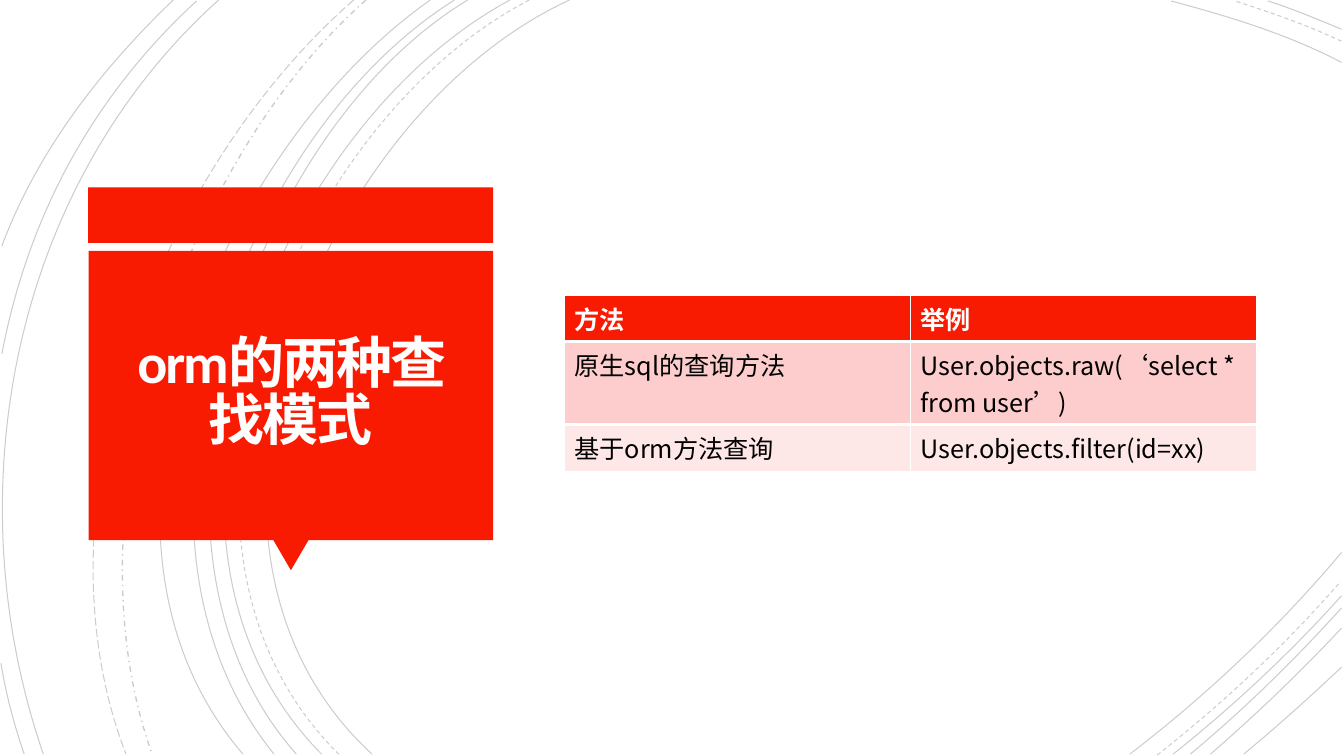
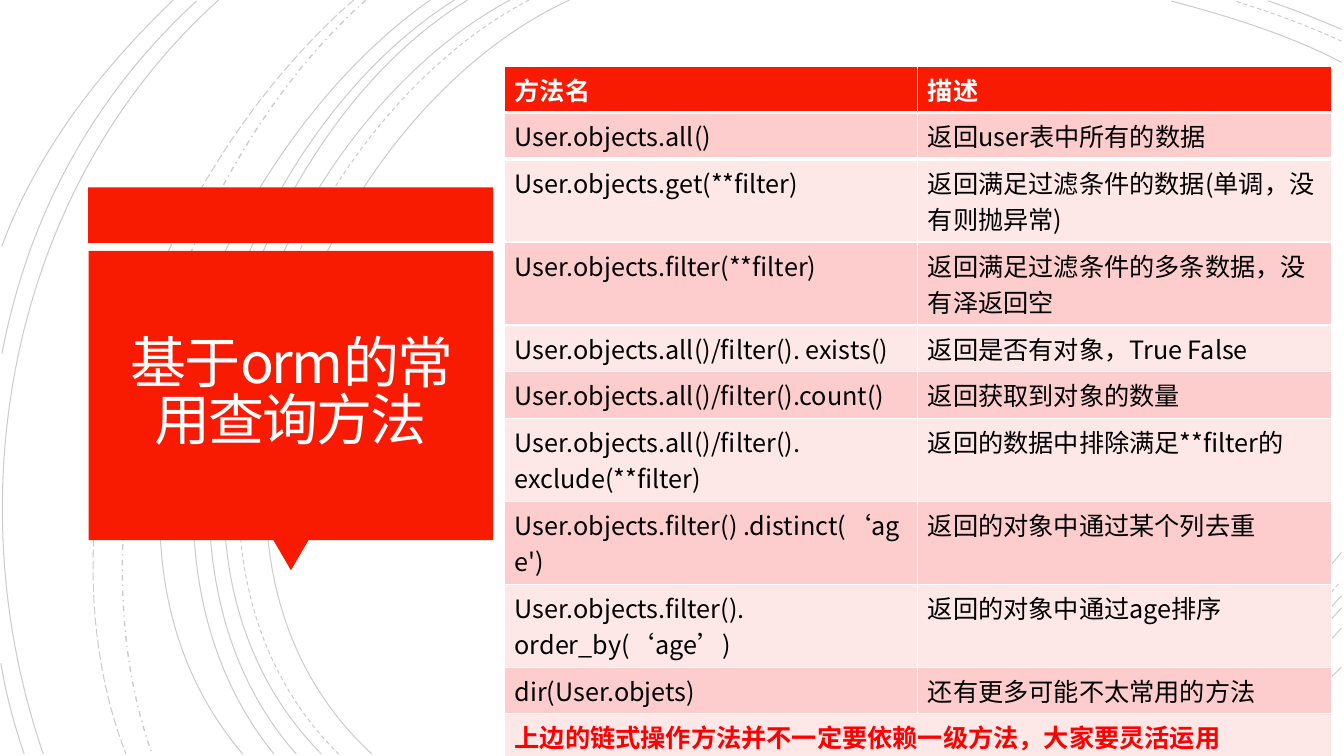
from dataclasses import dataclass
from typing import Optional

from pptx import Presentation
from pptx.dml.color import RGBColor
from pptx.enum import dml, shapes, text
from pptx.oxml import ns, xmlchemy
from pptx.util import Pt

RED = RGBColor(0xF8, 0x1B, 0x02)
BRIGHT_RED = RGBColor(0xFF, 0x00, 0x00)
BLACK = RGBColor(0x00, 0x00, 0x00)
WHITE = RGBColor(0xFF, 0xFF, 0xFF)
TITLE_WHITE = RGBColor(0xFF, 0xFE, 0xFF)
ROW_FILLS = (RGBColor(0xFC, 0xCD, 0xCC), RGBColor(0xFE, 0xE8, 0xE7))

CJK = "Noto Sans CJK SC"
LATIN = "Calibri"
HEADER_HEIGHT = 32.8
LINE_HEIGHT = 26
ROW_PADDING = 7.3

DASH = dml.MSO_LINE.DASH
DASH_DOT = dml.MSO_LINE.DASH_DOT
LONG_DASH = dml.MSO_LINE.LONG_DASH


@dataclass(frozen=True)
class Arc:
    """A cubic curve: start, two control points, end, in points."""
    points: tuple[tuple[float, float], ...]
    dash: Optional[dml.MSO_LINE] = None
    width: float = 0.75


@dataclass(frozen=True)
class Block:
    kind: shapes.MSO_SHAPE
    left: float
    top: float
    width: float
    height: float
    rotation: float = 0


@dataclass(frozen=True)
class Row:
    name: str
    detail: str = ""
    lines: int = 1


@dataclass(frozen=True)
class TableSlide:
    title: str
    title_font: str
    title_bold: bool
    left: float
    top: float
    column_width: float
    header: Row
    rows: tuple[Row, ...]


ARCS = (
    # Right edge, top
    Arc(((958.3, 44.6), (920.2, 24.5), (877, 11.5), (836.6, 0.7))),
    Arc(((958.3, 29.5), (933.8, 18), (907.2, 8.6), (882, 0.7)), DASH),
    Arc(((958.3, 20.9), (941, 13.7), (923.8, 6.5), (905.8, 0.7))),
    # Right edge, bottom
    Arc(((807.1, 538.6), (861.8, 496.8), (913.7, 447.8), (958.3, 394.6))),
    Arc(((826.6, 539.3), (873.4, 502.6), (918, 460.8), (957.6, 415.4)), DASH),
    Arc(((838.1, 538.6), (880.6, 504.7), (921.6, 466.6), (958.3, 425.5))),
    Arc(((850.3, 538.6), (888.5, 506.9), (924.5, 471.6), (958.3, 434.2))),
    Arc(((864.7, 538.6), (897.1, 510.5), (928.8, 480.2), (958.3, 448.6))),
    Arc(((888.5, 538.6), (912.2, 519.1), (935.3, 498.2), (958.3, 476.6))),
    # Left side, full height
    Arc(((406.8, 0), (226.8, 82.8), (103, 388.8), (265.7, 538.6))),
    Arc(((378, 0), (205.2, 90), (88.6, 386.6), (241.9, 538.6)), DASH),
    Arc(((364.3, 0), (194.4, 91.4), (79.2, 386.6), (229.7, 538.6))),
    Arc(((334.1, 0), (175.7, 95.8), (79.2, 389.5), (211.7, 538.6))),
    Arc(((324.7, 0), (166.3, 99.4), (69.8, 383.8), (195.8, 538.6))),
    Arc(((307.4, 0), (156.2, 105.8), (38.2, 380.9), (173.5, 538.6))),
    Arc(((261.4, 0), (126.7, 119.5), (46.8, 366.5), (108.7, 538.6)), DASH_DOT, 1),
    Arc(((252.7, 0), (113, 121.7), (20.9, 359.3), (90, 538.6)), LONG_DASH),
    Arc(((156.2, 0), (7.9, 133.2), (-33.1, 352.8), (31, 538.6))),
    # Left edge
    Arc(((140.4, 0.7), (66.2, 69.1), (20.2, 154.1), (1.4, 252.7))),
    Arc(((0.7, 473.8), (4.3, 496.1), (10.1, 517.7), (17.3, 538.6))),
    Arc(((123.8, 0), (72, 49.7), (26.6, 108), (1.4, 175.7))),
)

BLOCKS = (
    Block(shapes.MSO_SHAPE.RECTANGLE, 63, 133.9, 289.3, 39.6),
    Block(shapes.MSO_SHAPE.ISOSCELES_TRIANGLE, 195.2, 385.7, 25.2, 21.6, 180),
    Block(shapes.MSO_SHAPE.RECTANGLE, 63.4, 179.3, 288.9, 206.6),
)

SLIDES = (
    TableSlide(
        "orm的两种查找模式", LATIN, True, 403.2, 211.2, 247.1,
        Row("方法", "举例"),
        (
            Row("原生sql的查询方法", "User.objects.raw(‘select * from user’)", 2),
            Row("基于orm方法查询", "User.objects.filter(id=xx)"),
        ),
    ),
    TableSlide(
        "基于orm的常用查询方法", CJK, False, 360.4, 47.5, 295.2,
        Row("方法名", "描述"),
        (
            Row("User.objects.all()", "返回user表中所有的数据"),
            Row("User.objects.get(**filter)", "返回满足过滤条件的数据(单调，没有则抛异常)", 2),
            Row("User.objects.filter(**filter)", "返回满足过滤条件的多条数据，没有泽返回空", 2),
            Row("User.objects.all()/filter(). exists()", "返回是否有对象，True False"),
            Row("User.objects.all()/filter().count()", "返回获取到对象的数量"),
            Row("User.objects.all()/filter(). exclude(**filter)",
                "返回的数据中排除满足**filter的", 2),
            Row("User.objects.filter() .distinct(‘age')", "返回的对象中通过某个列去重", 2),
            Row("User.objects.filter(). order_by(‘age’)", "返回的对象中通过age排序", 2),
            Row("dir(User.objets)", "还有更多可能不太常用的方法"),
            Row("上边的链式操作方法并不一定要依赖一级方法，大家要灵活运用"),
        ),
    ),
)


def add_run(p, content: str, size: float, color: RGBColor, bold: bool, latin: str = CJK):
    r = p.add_run()
    r.text = content
    r.font.size = Pt(size)
    r.font.bold = bold
    r.font.color.rgb = color
    r.font.name = latin
    props = r.font._element
    props.set("lang", "zh-CN")
    east_asian = xmlchemy.OxmlElement("a:ea")
    east_asian.set("typeface", CJK)
    props.find(ns.qn("a:latin")).addnext(east_asian)
    return r


def add_arc(s, arc: Arc) -> None:
    start, *others = [(Pt(x), Pt(y)) for x, y in arc.points]
    builder = s.shapes.build_freeform(*start)
    builder.add_line_segments(others, close=False)
    sp = builder.convert_to_shape()
    # Join the three segments into one cubic curve
    segments = list(sp._element.iter(ns.qn("a:lnTo")))
    cubic = xmlchemy.OxmlElement("a:cubicBezTo")
    segments[0].addprevious(cubic)
    for segment in segments:
        cubic.append(segment[0])
        segment.getparent().remove(segment)
    sp.shadow.inherit = False
    sp.fill.background()
    sp.line.width = Pt(arc.width)
    sp.line.color.rgb = BLACK
    if arc.dash is not None:
        sp.line.dash_style = arc.dash
    # Make the line 20 % opaque
    alpha = xmlchemy.OxmlElement("a:alpha")
    alpha.set("val", "20000")
    next(sp._element.iter(ns.qn("a:srgbClr"))).append(alpha)


def add_block(s, block: Block) -> None:
    sp = s.shapes.add_shape(block.kind, Pt(block.left), Pt(block.top),
                            Pt(block.width), Pt(block.height))
    sp.rotation = block.rotation
    sp.shadow.inherit = False
    sp.fill.solid()
    sp.fill.fore_color.rgb = RED
    sp.line.fill.background()


def add_title(s, content: TableSlide) -> None:
    tf = s.shapes.add_textbox(Pt(69.6), Pt(185), Pt(276), Pt(194)).text_frame
    tf.word_wrap = True
    tf.vertical_anchor = text.MSO_ANCHOR.MIDDLE
    tf.margin_left = tf.margin_right = tf.margin_top = tf.margin_bottom = Pt(18)
    p = tf.paragraphs[0]
    p.alignment = text.PP_ALIGN.CENTER
    p.line_spacing = 0.85
    r = add_run(p, content.title, 40, TITLE_WHITE, content.title_bold, content.title_font)
    r.font._element.set("spc", "-150")


def add_border(cell, side: str, width: float) -> None:
    line = xmlchemy.OxmlElement(f"a:{side}")
    line.set("w", str(Pt(width)))
    fill = xmlchemy.OxmlElement("a:solidFill")
    color = xmlchemy.OxmlElement("a:srgbClr")
    color.set("val", str(WHITE))
    fill.append(color)
    line.append(fill)
    cell._tc.get_or_add_tcPr().append(line)


def fill_cell(cell, content: str, fill: RGBColor, color: RGBColor, bold: bool) -> None:
    cell.fill.solid()
    cell.fill.fore_color.rgb = fill
    add_run(cell.text_frame.paragraphs[0], content, 18, color, bold)


def add_method_table(s, content: TableSlide) -> None:
    heights = [HEADER_HEIGHT]
    heights += [row.lines * LINE_HEIGHT + ROW_PADDING for row in content.rows]
    table = s.shapes.add_table(len(heights), 2, Pt(content.left), Pt(content.top),
                               Pt(2 * content.column_width), Pt(sum(heights))).table
    table.horz_banding = False
    for table_row, height in zip(table.rows, heights):
        table_row.height = Pt(height)
    # Header with a thick rule beneath
    for j, value in enumerate((content.header.name, content.header.detail)):
        add_border(table.cell(0, j), "lnB", 3)
        add_border(table.cell(1, j), "lnT", 3)
        fill_cell(table.cell(0, j), value, RED, WHITE, True)
    # Body; a row without detail is a remark across both columns
    for i, row in enumerate(content.rows, 1):
        fill = ROW_FILLS[(i - 1) % 2]
        if row.detail:
            fill_cell(table.cell(i, 0), row.name, fill, BLACK, False)
            fill_cell(table.cell(i, 1), row.detail, fill, BLACK, False)
        else:
            table.cell(i, 0).merge(table.cell(i, 1))
            fill_cell(table.cell(i, 0), row.name, fill, BRIGHT_RED, True)


def main() -> None:
    prs = Presentation()
    prs.slide_width, prs.slide_height = Pt(960), Pt(540)
    for content in SLIDES:
        s = prs.slides.add_slide(prs.slide_layouts[6])
        # Shared backdrop and title panel
        for arc in ARCS:
            add_arc(s, arc)
        for block in BLOCKS:
            add_block(s, block)
        # Slide content
        add_title(s, content)
        add_method_table(s, content)
    prs.save("out.pptx")


if __name__ == "__main__":
    main()
